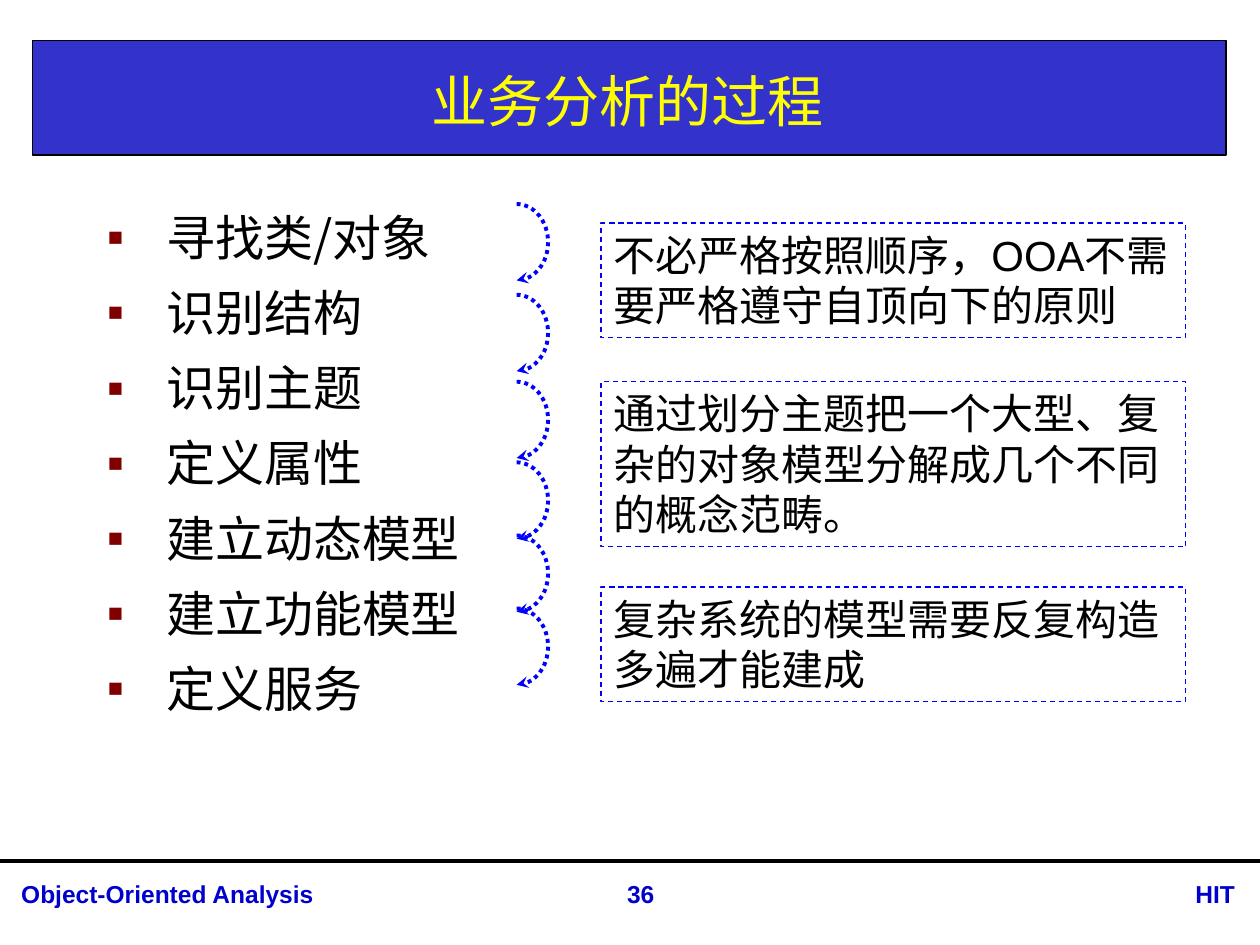
"""Build a slide on the steps of business analysis."""
from math import cos, pi, sin

from pptx import Presentation
from pptx.dml.color import RGBColor
from pptx.enum.dml import MSO_LINE as Dash
from pptx.enum.shapes import MSO_CONNECTOR as Conn, MSO_SHAPE as Kind
from pptx.enum.text import MSO_ANCHOR as Anchor, PP_ALIGN as Align
from pptx.oxml.ns import qn
from pptx.util import Pt
from lxml.etree import SubElement as Sub

BLACK = RGBColor(0x00, 0x00, 0x00)
BLUE = RGBColor(0x00, 0x00, 0xFF)
NAVY = RGBColor(0x00, 0x00, 0xCC)
INDIGO = RGBColor(0x33, 0x33, 0xCC)
YELLOW = RGBColor(0xFF, 0xFF, 0x00)
MAROON = RGBColor(0x80, 0x00, 0x00)
CJK = "Noto Sans CJK SC"
LATIN = "Arial"

STEPS = ["寻找类/对象", "识别结构", "识别主题", "定义属性",
         "建立动态模型", "建立功能模型", "定义服务"]
ARCS = [116.64, 168.48, 218.16, 264.24, 306, 347.76]
NOTES = [
    (127.44, 65.52, "不必严格按照顺序，OOA不需要严格遵守自顶向下的原则"),
    (218.16, 94.32, "通过划分主题把一个大型、复杂的对象模型分解成几个不同的概念范畴。"),
    (335.52, 65.52, "复杂系统的模型需要反复构造多遍才能建成"),
]
FOOTS = [
    (5.04, 333.36, Align.LEFT, "Object-Oriented Analysis"),
    (638.64, 74.16, Align.RIGHT, "HIT"),
    (329.04, 74.16, Align.CENTER, "36"),
]


def style(para, size, color, face=LATIN, bold=False, align=Align.LEFT):
    para.alignment = align
    font = para.font
    font.name, font.size, font.bold = face, Pt(size), bold
    font.color.rgb = color
    base = para._p.pPr.find(qn("a:defRPr"))
    Sub(base, qn("a:ea"), typeface=CJK)


def add_text(slide, box, text, size, color, **look):
    frame = slide.shapes.add_textbox(*map(Pt, box)).text_frame
    frame.word_wrap = True
    frame.text = text
    style(frame.paragraphs[0], size, color, **look)
    return frame


def add_rect(slide, box, edge):
    rect = slide.shapes.add_shape(Kind.RECTANGLE, *map(Pt, box))
    rect.shadow.inherit = False
    rect.line.color.rgb = edge
    rect.line.width = Pt(0.75)
    return rect


def add_title(slide):
    bar = add_rect(slide, (18.72, 23.04, 681.84, 65.52), BLACK)
    bar.fill.solid()
    bar.fill.fore_color.rgb = INDIGO
    frame = add_text(slide, (18.72, 25.92, 680.4, 62.64), "业务分析的过程",
                     32, YELLOW, face=CJK, align=Align.CENTER)
    frame.vertical_anchor = Anchor.MIDDLE


def add_rule(slide, y):
    rule = slide.shapes.add_connector(Conn.STRAIGHT, 0, Pt(y), Pt(720), Pt(y))
    rule.line.color.rgb = BLACK
    rule.line.width = Pt(2.25)
    Sub(rule._element.spPr, qn("a:effectLst"))


def add_bullet(para):
    props = para._p.get_or_add_pPr()
    props.set("marL", str(Pt(34)))
    props.set("indent", str(Pt(-34)))
    Sub(Sub(props, qn("a:buClr")), qn("a:srgbClr"), val=str(MAROON))
    Sub(props, qn("a:buFont"), typeface=LATIN)
    Sub(props, qn("a:buChar"), char="▪")


def add_steps(slide):
    frame = slide.shapes.add_textbox(*map(Pt, (54, 111.6, 623.52, 340.56))).text_frame
    frame.word_wrap = True
    frame.text = "\n".join(STEPS)
    for i, para in enumerate(frame.paragraphs):
        add_bullet(para)
        para.line_spacing = 1.1
        para.space_before = Pt(3 if i else 0)
        para.space_after = Pt(3)
        style(para, 28, BLACK, face=CJK)


def add_arc(slide, top, left=295.2, wide=18, half=21.8, count=32):
    turns = [pi * i / count for i in range(count + 1)]
    dots = [(Pt(left + wide * sin(t)), Pt(top + half * (1 - cos(t)))) for t in turns]
    path = slide.shapes.build_freeform(*dots[0])
    path.add_line_segments(dots[1:], close=False)
    arc = path.convert_to_shape()
    arc.shadow.inherit = False
    arc.fill.background()
    arc.line.color.rgb = BLUE
    arc.line.width = Pt(2.25)
    arc.line.dash_style = Dash.ROUND_DOT
    Sub(arc.line._get_or_add_ln(), qn("a:tailEnd"), type="stealth")


def add_note(slide, top, high, text):
    note = add_rect(slide, (343.44, top, 334.08, high), BLUE)
    note.fill.background()
    note.line.dash_style = Dash.DASH
    frame = note.text_frame
    frame.word_wrap = True
    frame.vertical_anchor = Anchor.TOP
    frame.text = text
    style(frame.paragraphs[0], 24, BLACK)


def main():
    deck = Presentation()
    deck.slide_width, deck.slide_height = Pt(720), Pt(540)
    slide = deck.slides.add_slide(deck.slide_layouts[6])
    add_title(slide)
    add_rule(slide, 491.76)
    for left, wide, align, text in FOOTS:
        add_text(slide, (left, 498.96, wide, 24.48), text, 14, NAVY,
                 bold=True, align=align)
    add_steps(slide)
    for top in ARCS:
        add_arc(slide, top)
    for note in NOTES:
        add_note(slide, *note)
    deck.save("out.pptx")


if __name__ == "__main__":
    main()
